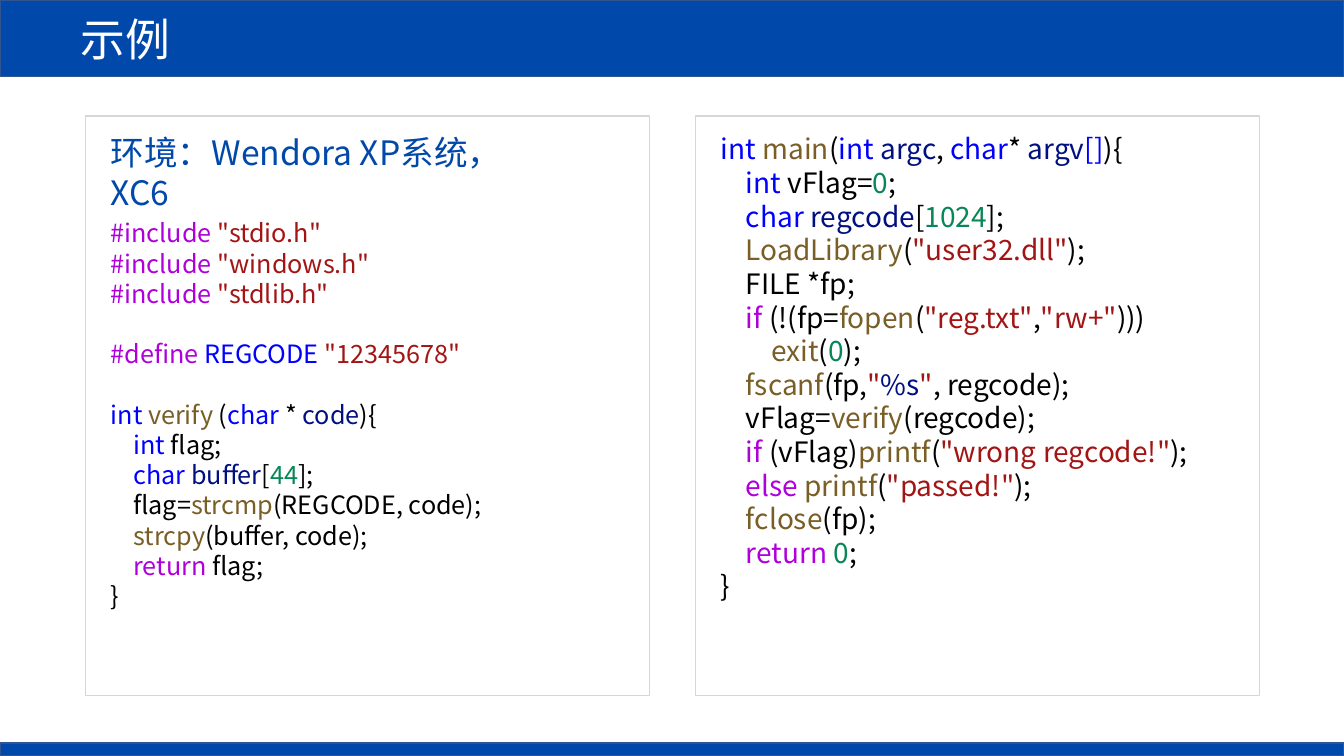
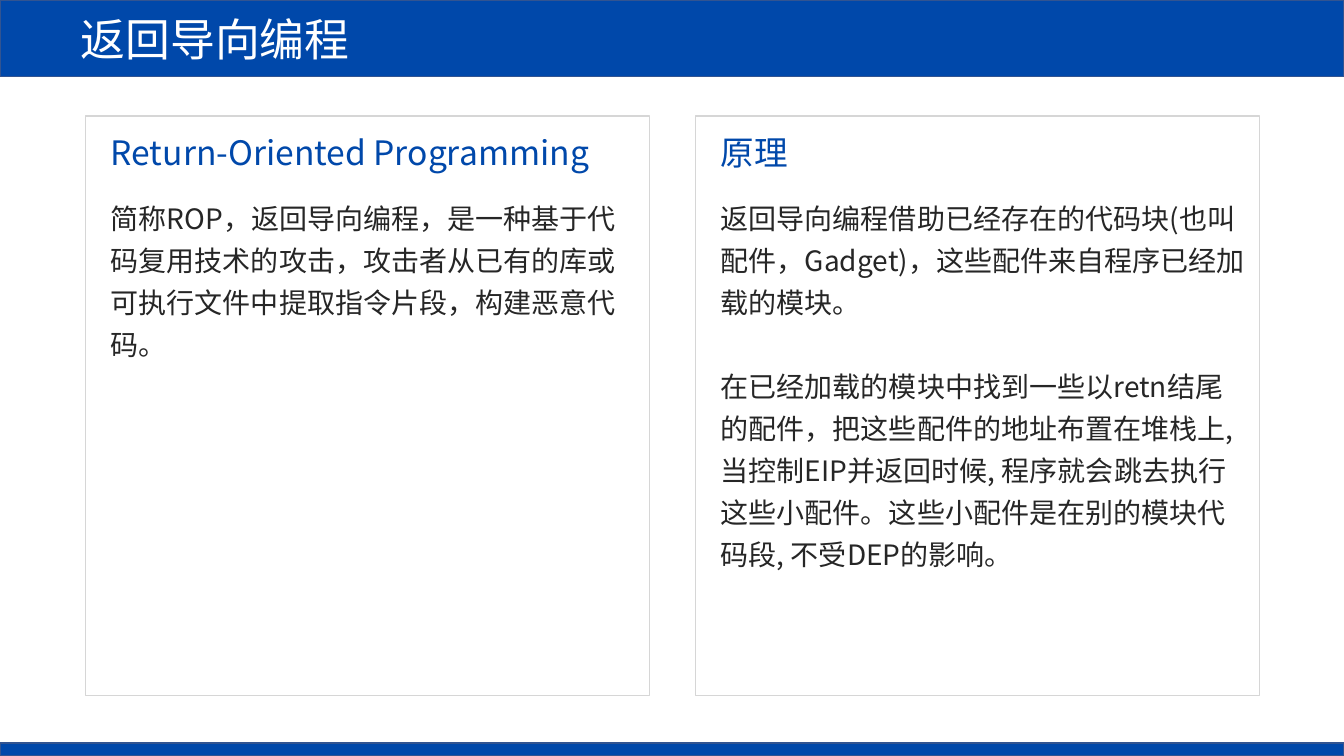
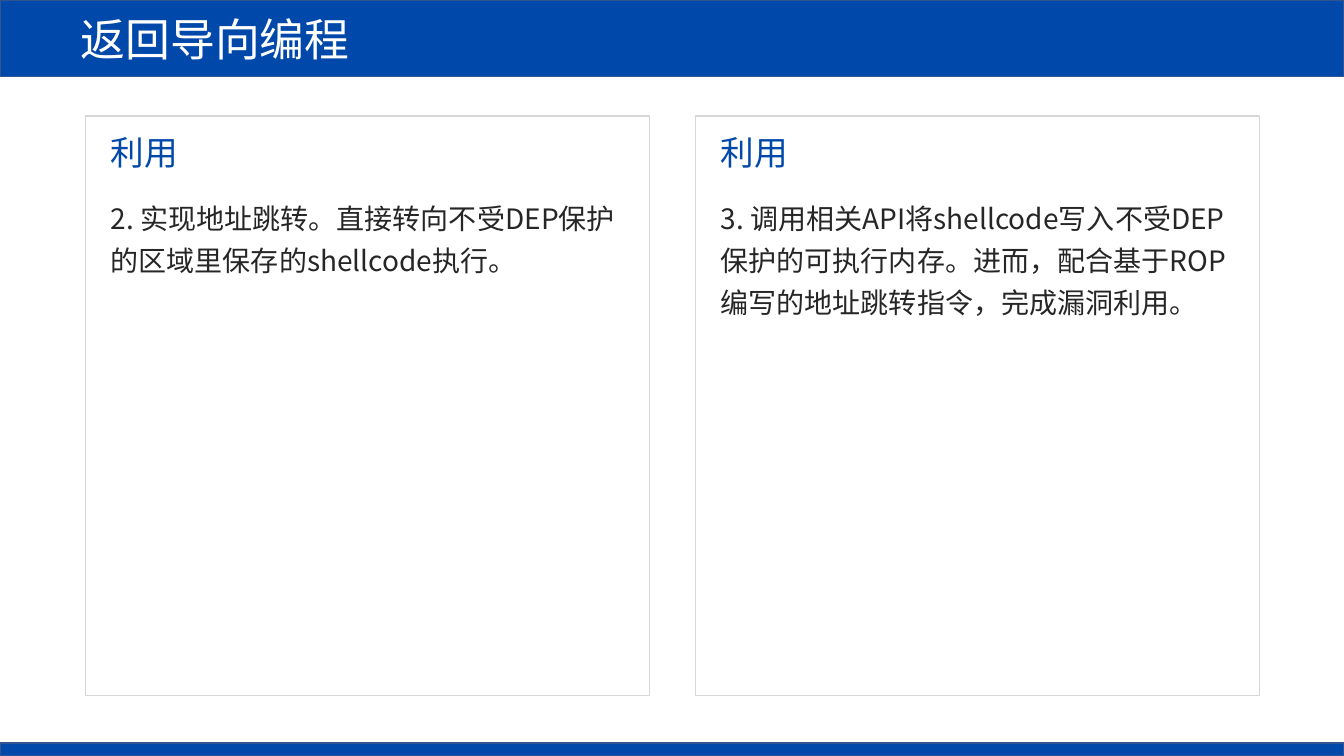
"""Build three slides on return-oriented programming."""
import collections

import lxml.etree
import pptx
import pptx.dml.color
import pptx.enum.shapes
import pptx.enum.text
import pptx.oxml.ns
import pptx.util

Inches = pptx.util.Inches
Pt = pptx.util.Pt
RGBColor = pptx.dml.color.RGBColor

FONT = "Noto Sans CJK SC"
BLUE = RGBColor(0x00, 0x48, 0xAA)
BAND_EDGE = RGBColor(0x32, 0x54, 0x91)
PANEL_EDGE = RGBColor(0xD6, 0xD6, 0xD6)
WHITE = RGBColor(0xFF, 0xFF, 0xFF)
BODY = RGBColor(0x26, 0x26, 0x26)

PLAIN = RGBColor(0x00, 0x00, 0x00)
KEYWORD = RGBColor(0x00, 0x00, 0xFF)
CONTROL = RGBColor(0xAF, 0x00, 0xDB)
FUNCTION = RGBColor(0x79, 0x5E, 0x26)
VARIABLE = RGBColor(0x00, 0x10, 0x80)
STRING = RGBColor(0xA3, 0x15, 0x15)
NUMBER = RGBColor(0x09, 0x86, 0x58)

SLIDE_W, SLIDE_H = 13.33, 7.5
TITLE_H, FOOTER_H = 0.76, 0.13
PANEL_TOP, PANEL_W, PANEL_H = 1.15, 5.59, 5.75
LEFT, RIGHT = 0.85, 6.9
TEXT_INSET, HEADING_TOP, BODY_TOP = 0.15, 1.26, 1.87
TEXT_W = {LEFT: 5.28, RIGHT: 5.43}

Line = collections.namedtuple("Line", "runs level gap", defaults=(0, 0))

VERIFY_CODE = [
    Line([("#include ", CONTROL), ('"stdio.h"', STRING)]),
    Line([("#include ", CONTROL), ('"windows.h"', STRING)]),
    Line([("#include ", CONTROL), ('"stdlib.h"', STRING)]),
    Line([("#define", CONTROL), (" REGCODE ", KEYWORD), ('"12345678"', STRING)], gap=1),
    Line([("int ", KEYWORD), ("verify", FUNCTION), (" (", PLAIN), ("char", KEYWORD),
          (" * ", PLAIN), ("code", VARIABLE), ("){", PLAIN)], gap=1),
    Line([("int", KEYWORD), (" flag;", PLAIN)], 1),
    Line([("char ", KEYWORD), ("buffer", VARIABLE), ("[", PLAIN), ("44", NUMBER),
          ("];", PLAIN)], 1),
    Line([("flag=", PLAIN), ("strcmp", FUNCTION), ("(REGCODE, code);", PLAIN)], 1),
    Line([("strcpy", FUNCTION), ("(buffer, code);", PLAIN)], 1),
    Line([("return", CONTROL), (" flag;", PLAIN)], 1),
    Line([("}", PLAIN)]),
]

MAIN_CODE = [
    Line([("int ", KEYWORD), ("main", FUNCTION), ("(", PLAIN), ("int ", KEYWORD),
          ("argc", VARIABLE), (", ", PLAIN), ("char", KEYWORD), ("* ", PLAIN),
          ("argv", VARIABLE), ("[]", KEYWORD), ("){", PLAIN)]),
    Line([("int ", KEYWORD), ("vFlag=", PLAIN), ("0", NUMBER), (";", PLAIN)], 1),
    Line([("char ", KEYWORD), ("regcode", VARIABLE), ("[", PLAIN), ("1024", NUMBER),
          ("];", PLAIN)], 1),
    Line([("LoadLibrary", FUNCTION), ("(", PLAIN), ('"user32.dll"', STRING),
          (");", PLAIN)], 1),
    Line([("FILE *fp;", PLAIN)], 1),
    Line([("if", CONTROL), (" (!(fp=", PLAIN), ("fopen", FUNCTION), ("(", PLAIN),
          ('"reg.txt"', STRING), (",", PLAIN), ('"rw+"', STRING), (")))", PLAIN)], 1),
    Line([("exit", FUNCTION), ("(", PLAIN), ("0", NUMBER), (");", PLAIN)], 2),
    Line([("fscanf", FUNCTION), ("(fp,", PLAIN), ('"', STRING), ("%s", VARIABLE),
          ('"', STRING), (", regcode);", PLAIN)], 1),
    Line([("vFlag=", PLAIN), ("verify", FUNCTION), ("(regcode);", PLAIN)], 1),
    Line([("if", CONTROL), (" (vFlag)", PLAIN), ("printf", FUNCTION), ("(", PLAIN),
          ('"wrong regcode!"', STRING), (");", PLAIN)], 1),
    Line([("else ", CONTROL), ("printf", FUNCTION), ("(", PLAIN),
          ('"passed!"', STRING), (");", PLAIN)], 1),
    Line([("fclose", FUNCTION), ("(fp);", PLAIN)], 1),
    Line([("return ", CONTROL), ("0", NUMBER), (";", PLAIN)], 1),
    Line([("}", PLAIN)]),
]


def style_run(r, size, color):
    """Give a run its Latin and East Asian font, size and colour."""
    r.font.name = FONT
    r.font.size = Pt(size)
    r.font.color.rgb = color
    ea = lxml.etree.SubElement(r.font._element, pptx.oxml.ns.qn("a:ea"))
    ea.set("typeface", FONT)


def style_band(sp):
    """Give a shape the fill and edge of the blue bands."""
    sp.fill.solid()
    sp.fill.fore_color.rgb = BLUE
    sp.line.color.rgb = BAND_EDGE
    sp.line.width = Pt(1)


def add_rect(slide, left, top, width, height):
    """Add a rectangle without a shadow."""
    sp = slide.shapes.add_shape(
        pptx.enum.shapes.MSO_SHAPE.RECTANGLE,
        Inches(left), Inches(top), Inches(width), Inches(height))
    sp.shadow.inherit = False
    return sp


def add_text(slide, left, top, width, height, lines, size, spacing=1.2):
    """Add a wrapped text box made of coloured lines."""
    box = slide.shapes.add_textbox(
        Inches(left), Inches(top), Inches(width), Inches(height))
    tf = box.text_frame
    tf.word_wrap = True
    pitch = size * spacing
    for i, line in enumerate(lines):
        p = tf.paragraphs[0] if i == 0 else tf.add_paragraph()
        p.line_spacing = Pt(pitch)
        p.space_before = Pt(pitch * line.gap)
        if line.level:
            indent = Inches(size / 80 * line.level)
            p._p.get_or_add_pPr().set("marL", str(indent))
        for text, color in line.runs:
            r = p.add_run()
            r.text = text
            style_run(r, size, color)


def add_panel(slide, left):
    """Add an outlined panel."""
    sp = add_rect(slide, left, PANEL_TOP, PANEL_W, PANEL_H)
    sp.fill.background()
    sp.line.color.rgb = PANEL_EDGE
    sp.line.width = Pt(1)


def add_heading(slide, left, text, width, height=0.5):
    """Add the blue heading of a panel."""
    add_text(slide, left + TEXT_INSET, HEADING_TOP, width, height,
             [Line([(text, BLUE)])], 24)


def add_prose_panel(slide, left, heading, paragraphs, height):
    """Add a panel with a heading and paragraphs one blank line apart."""
    add_panel(slide, left)
    add_heading(slide, left, heading, TEXT_W[LEFT])
    lines = [Line([(text, BODY)], gap=min(i, 1)) for i, text in enumerate(paragraphs)]
    add_text(slide, left + TEXT_INSET, BODY_TOP, TEXT_W[left], height, lines, 20, 1.5)


def add_slide(prs, title):
    """Add a slide with its title band and footer band."""
    slide = prs.slides.add_slide(prs.slide_layouts[5])
    sp = slide.shapes.title
    sp.left, sp.top = Inches(0), Inches(0)
    sp.width, sp.height = Inches(SLIDE_W), Inches(TITLE_H)
    style_band(sp)
    tf = sp.text_frame
    tf.text = title
    tf.auto_size = pptx.enum.text.MSO_AUTO_SIZE.NONE
    tf.vertical_anchor = pptx.enum.text.MSO_ANCHOR.MIDDLE
    tf.margin_left = Inches(0.8)
    p = tf.paragraphs[0]
    p.alignment = pptx.enum.text.PP_ALIGN.LEFT
    p.line_spacing = Pt(38.4)
    style_run(p.runs[0], 32, WHITE)
    style_band(add_rect(slide, 0, SLIDE_H - FOOTER_H, SLIDE_W, FOOTER_H))
    return slide


def add_example_slide(prs):
    """Add the slide with the two code listings."""
    slide = add_slide(prs, "示例")
    add_panel(slide, LEFT)
    add_heading(slide, LEFT, "环境：Wendora XP系统，XC6", 4.6, 0.9)
    add_text(slide, LEFT + TEXT_INSET, 2.11, TEXT_W[LEFT], 4.64, VERIFY_CODE, 18)
    add_panel(slide, RIGHT)
    add_text(slide, RIGHT + TEXT_INSET, HEADING_TOP, TEXT_W[LEFT], 4.81, MAIN_CODE, 20)


def main():
    """Build and save the presentation."""
    prs = pptx.Presentation()
    prs.slide_width, prs.slide_height = Inches(SLIDE_W), Inches(SLIDE_H)
    add_example_slide(prs)

    slide = add_slide(prs, "返回导向编程")
    add_prose_panel(slide, LEFT, "Return-Oriented Programming", [
        "简称ROP，返回导向编程，是一种基于代码复用技术的攻击，攻击者从已有的库"
        "或可执行文件中提取指令片段，构建恶意代码。"], 1.75)
    add_prose_panel(slide, RIGHT, "原理", [
        "返回导向编程借助已经存在的代码块(也叫配件，Gadget)，这些配件来自程序已经加载的模块。",
        "在已经加载的模块中找到一些以retn结尾的配件，把这些配件的地址布置在堆栈上, "
        "当控制EIP并返回时候, 程序就会跳去执行这些小配件。这些小配件是在别的模块代码段, "
        "不受DEP的影响。"], 4.27)

    slide = add_slide(prs, "返回导向编程")
    add_prose_panel(slide, LEFT, "利用", [
        "2. 实现地址跳转。直接转向不受DEP保护的区域里保存的shellcode执行。"], 0.9)
    add_prose_panel(slide, RIGHT, "利用", [
        "3. 调用相关API将shellcode写入不受DEP保护的可执行内存。进而，"
        "配合基于ROP编写的地址跳转指令，完成漏洞利用。"], 1.32)

    prs.save("out.pptx")


if __name__ == "__main__":
    main()
